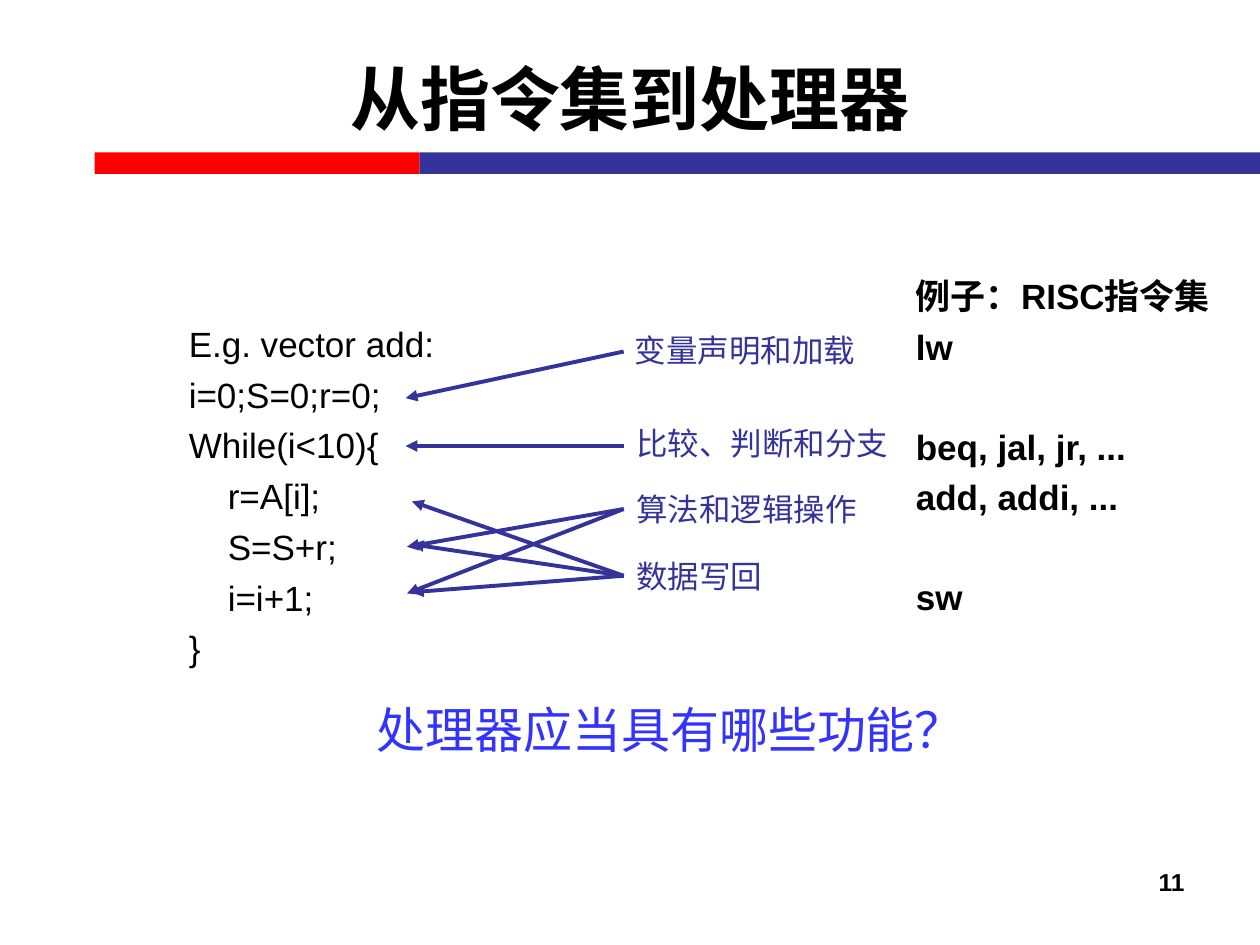
import pptx
import pptx.util
import pptx.dml.color
import pptx.enum.shapes
import pptx.enum.text
import pptx.oxml
import pptx.oxml.ns

Inches = pptx.util.Inches
Pt = pptx.util.Pt
RGBColor = pptx.dml.color.RGBColor
ALIGN = pptx.enum.text.PP_ALIGN
ANCHOR = pptx.enum.text.MSO_ANCHOR
SHAPE = pptx.enum.shapes.MSO_SHAPE
LINE = pptx.enum.shapes.MSO_CONNECTOR

BLACK = RGBColor(0x00, 0x00, 0x00)
RED = RGBColor(0xFF, 0x00, 0x00)
NAVY = RGBColor(0x33, 0x33, 0x99)
BLUE = RGBColor(0x33, 0x33, 0xFF)

SANS = "Arial"
CJK = "Noto Sans CJK JP"
INDENT = 0.31
GAP = 5
SKIP = 33

TITLE = "从指令集到处理器"
ASK = "处理器应当具有哪些功能？"
PAGE = "11"

BARS = [(0.75, 2.58, RED), (3.33, 6.67, NAVY)]

CODE = [
    ("E.g. vector add:", 0, 0),
    ("i=0;S=0;r=0;", GAP, 0),
    ("While(i<10){", GAP, 0),
    ("r=A[i];", GAP, INDENT),
    ("S=S+r;", GAP, INDENT),
    ("i=i+1;", GAP, INDENT),
    ("}", GAP, 0),
]

OPS = [
    ("例子：RISC指令集", 0, 0),
    ("lw", GAP, 0),
    ("beq, jal, jr, ...", SKIP, 0),
    ("add, addi, ...", GAP, 0),
    ("sw", SKIP, 0),
]

STEPS = [
    ("变量声明和加载", 4.94, 2.58, 1.97, 2.79, [(3.22, 3.16)]),
    ("比较、判断和分支", 4.95, 3.32, 2.22, 3.54, [(3.22, 3.54)]),
    ("算法和逻辑操作", 4.95, 3.84, 1.97, 4.04, [(3.23, 4.34), (3.23, 4.71)]),
    ("数据写回", 4.95, 4.37, 1.21, 4.57,
     [(3.27, 3.98), (3.27, 4.32), (3.27, 4.70)]),
]


def add_bar(slide, left, width, color):
    bar = slide.shapes.add_shape(
        SHAPE.RECTANGLE, Inches(left), Inches(1.21), Inches(width), Inches(0.17))
    bar.shadow.inherit = False
    bar.fill.solid()
    bar.fill.fore_color.rgb = color
    bar.line.fill.background()


def add_text(slide, place, lines, size, color=BLACK, bold=False,
             align=ALIGN.LEFT, anchor=ANCHOR.TOP, font=SANS, wrap=True):
    box = slide.shapes.add_textbox(*[Inches(n) for n in place])
    frame = box.text_frame
    frame.word_wrap = wrap
    frame.vertical_anchor = anchor
    for row, (text, space, indent) in enumerate(lines):
        para = frame.add_paragraph() if row else frame.paragraphs[0]
        para.alignment = align
        para.space_before = Pt(space)
        if indent:
            para._p.get_or_add_pPr().set("marL", str(Inches(indent)))
        run = para.add_run()
        run.text = text
        run.font.size = Pt(size)
        run.font.bold = bold
        run.font.color.rgb = color
        run.font.name = font
        if font == CJK:
            east = pptx.oxml.parse_xml(
                f'<a:ea {pptx.oxml.ns.nsdecls("a")} typeface="{font}"/>')
            run._r.get_or_add_rPr().append(east)


def add_arrow(slide, start, end):
    arrow = slide.shapes.add_connector(
        LINE.STRAIGHT, *[Inches(n) for n in start + end])
    arrow.line.color.rgb = NAVY
    arrow.line.width = Pt(2.25)
    space = pptx.oxml.ns.nsdecls("a")
    arrow.line._get_or_add_ln().append(
        pptx.oxml.parse_xml(f'<a:tailEnd {space} type="triangle"/>'))
    arrow._element.spPr.append(pptx.oxml.parse_xml(f"<a:effectLst {space}/>"))


def main():
    deck = pptx.Presentation()
    deck.slide_width = Inches(10)
    deck.slide_height = Inches(7.5)
    slide = deck.slides.add_slide(deck.slide_layouts[6])

    for bar in BARS:
        add_bar(slide, *bar)
    add_text(slide, (0.5, 0.15, 9, 1.25), [(TITLE, 0, 0)], 40, bold=True,
             align=ALIGN.CENTER, anchor=ANCHOR.MIDDLE)
    add_text(slide, (7.17, 6.83, 2.33, 0.52), [(PAGE, 0, 0)], 14, bold=True,
             align=ALIGN.RIGHT)
    add_text(slide, (1.4, 2.51, 3.23, 3.35), CODE, 20)
    add_text(slide, (2.15, 5.5, 6.34, 0.48), [(ASK, 0, 0)], 28, BLUE,
             align=ALIGN.CENTER)
    for label, left, top, width, mid, ends in STEPS:
        add_text(slide, (left, top, width, 0.4), [(label, 0, 0)], 18, NAVY,
                 font=CJK, wrap=False)
        for end in ends:
            add_arrow(slide, (4.95, mid), end)
    add_text(slide, (7.17, 2.13, 2.65, 3.35), OPS, 20, bold=True)

    deck.save("out.pptx")


if __name__ == "__main__":
    main()
